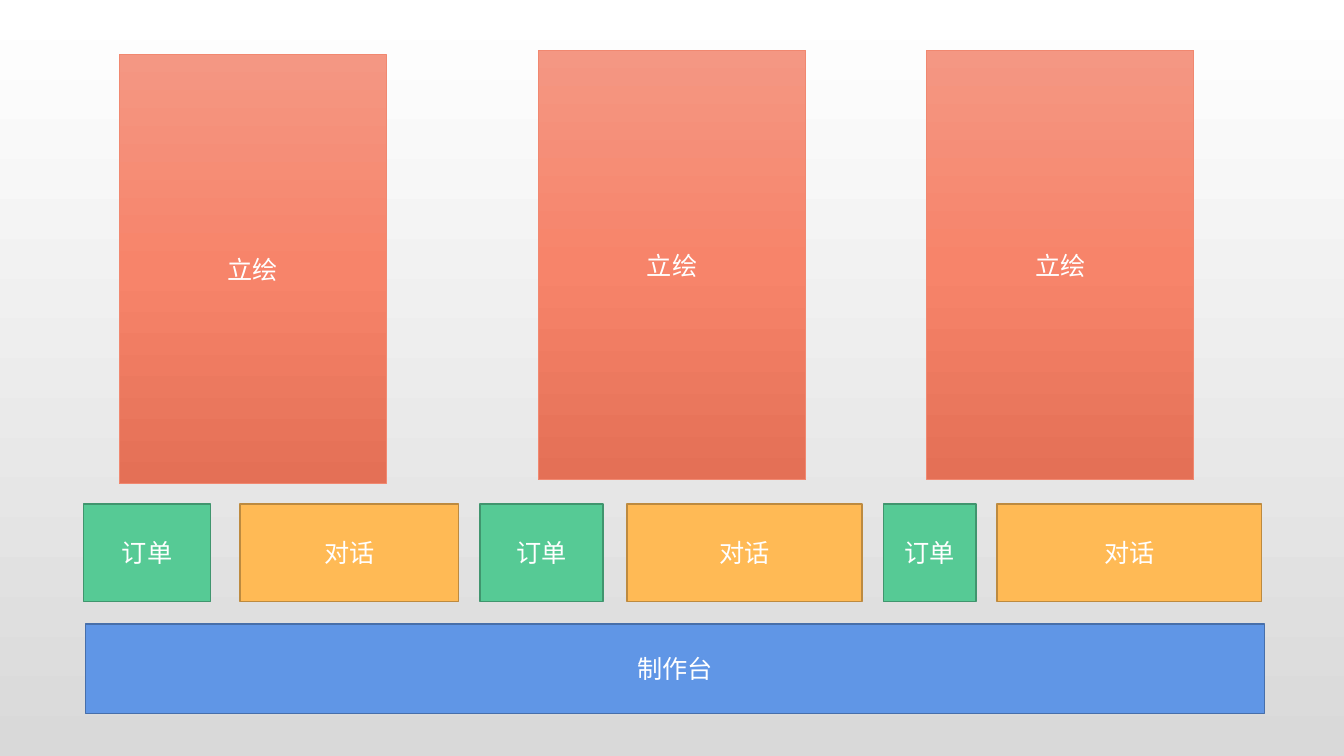
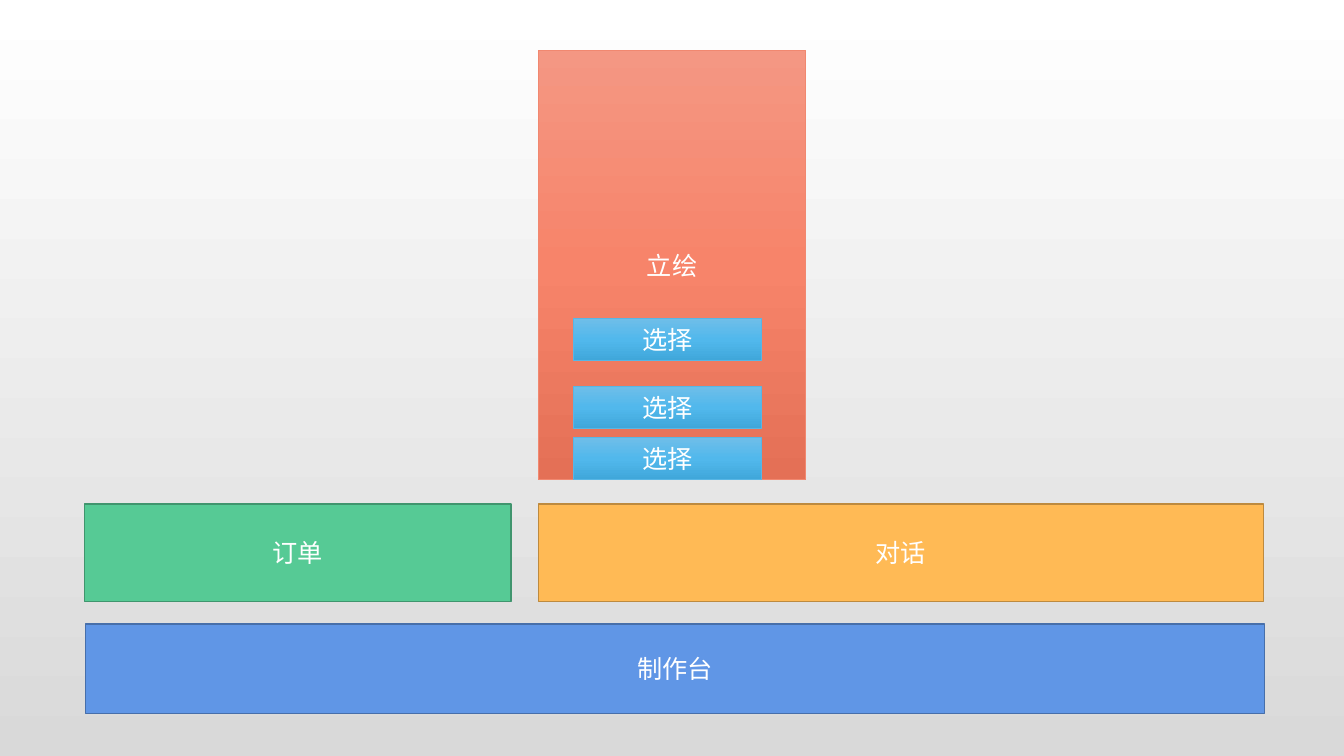
from collections import namedtuple

from lxml.etree import SubElement
from pptx import Presentation
from pptx.dml.color import RGBColor
from pptx.enum.shapes import MSO_SHAPE
from pptx.enum.text import MSO_ANCHOR, PP_ALIGN
from pptx.oxml.ns import qn
from pptx.util import Inches, Pt

FONT = "Arial"
WHITE = RGBColor(0xFF, 0xFF, 0xFF)
GREY = RGBColor(0xD9, 0xD9, 0xD9)
GREEN = RGBColor(0x56, 0xCA, 0x95)
GREEN_EDGE = RGBColor(0x40, 0x95, 0x6E)
AMBER = RGBColor(0xFF, 0xBA, 0x55)
AMBER_EDGE = RGBColor(0xBD, 0x8A, 0x3F)
BLUE = RGBColor(0x60, 0x96, 0xE6)
BLUE_EDGE = RGBColor(0x47, 0x6F, 0xAA)
CORAL_STOPS = (RGBColor(0xF4, 0x97, 0x83), RGBColor(0xF7, 0x84, 0x6A),
               RGBColor(0xE4, 0x70, 0x56))
CORAL_EDGE = RGBColor(0xF1, 0x88, 0x70)
SKY_STOPS = (RGBColor(0x6F, 0xBE, 0xE9), RGBColor(0x51, 0xB8, 0xEC),
             RGBColor(0x40, 0xA7, 0xDA))
SKY_EDGE = RGBColor(0x58, 0xB6, 0xE5)

# One colour makes a plain fill, several make a gradient from top to bottom.
Kind = namedtuple("Kind", "label colors edge edge_width")
ORDER = Kind("订单", (GREEN,), GREEN_EDGE, 1)
DIALOG = Kind("对话", (AMBER,), AMBER_EDGE, 1)
BENCH = Kind("制作台", (BLUE,), BLUE_EDGE, 1)
PORTRAIT = Kind("立绘", CORAL_STOPS, CORAL_EDGE, 0.5)
CHOICE = Kind("选择", SKY_STOPS, SKY_EDGE, 0.5)

ROW_TOP, ROW_HEIGHT = 5, 0.97


def fill_gradient(fill, element, colors):
    """Give a fill evenly spaced colour stops from top to bottom."""
    fill.gradient()
    fill.gradient_angle = 270
    stops = element.xpath(".//a:gsLst")[0]
    for stop in list(stops):
        stops.remove(stop)
    for i, color in enumerate(colors):
        pos = 100000 * i // (len(colors) - 1)
        stop = SubElement(stops, qn("a:gs"), pos=str(pos))
        SubElement(stop, qn("a:srgbClr"), val=str(color))


def add_block(slide, kind, left, top, width, height):
    """Add a labelled rectangle of the given kind."""
    sp = slide.shapes.add_shape(MSO_SHAPE.RECTANGLE, Inches(left), Inches(top),
                                Inches(width), Inches(height))
    sp.shadow.inherit = False
    if len(kind.colors) == 1:
        sp.fill.solid()
        sp.fill.fore_color.rgb = kind.colors[0]
    else:
        fill_gradient(sp.fill, sp.element, kind.colors)
    sp.line.color.rgb = kind.edge
    sp.line.width = Pt(kind.edge_width)
    tf = sp.text_frame
    tf.vertical_anchor = MSO_ANCHOR.MIDDLE
    p = tf.paragraphs[0]
    p.text = kind.label
    p.alignment = PP_ALIGN.CENTER
    p.font.name = FONT
    p.font.size = Pt(18)
    p.font.color.rgb = WHITE


def add_portrait(slide, left, top=0.5):
    """Add a character portrait area."""
    add_block(slide, PORTRAIT, left, top, 2.65, 4.26)


def add_pair(slide, order_left, order_width, dialog_left, dialog_width):
    """Add an order box and the dialog box beside it."""
    add_block(slide, ORDER, order_left, ROW_TOP, order_width, ROW_HEIGHT)
    add_block(slide, DIALOG, dialog_left, ROW_TOP, dialog_width, ROW_HEIGHT)


def add_scene(prs):
    """Add a slide with the workbench along the bottom."""
    slide = prs.slides.add_slide(prs.slide_layouts.get_by_name("Blank"))
    add_block(slide, BENCH, 0.85, 6.19, 11.69, 0.89)
    return slide


def build_three_guests(prs):
    """Lay out three portraits, each with its order and dialog."""
    slide = add_scene(prs)
    for pair in ((0.83, 1.26, 2.38, 2.17), (4.76, 1.22, 6.22, 2.33),
                 (8.76, 0.92, 9.89, 2.62)):
        add_pair(slide, *pair)
    for left, top in ((1.18, 0.54), (5.34, 0.5), (9.19, 0.5)):
        add_portrait(slide, left, top)


def build_one_guest(prs):
    """Lay out one portrait with three choices over it."""
    slide = add_scene(prs)
    add_pair(slide, 0.84, 4.23, 5.34, 7.19)
    add_portrait(slide, 5.34)
    for top in (3.16, 3.83, 4.34):
        add_block(slide, CHOICE, 5.69, top, 1.86, 0.42)


def main():
    """Build and save the presentation."""
    prs = Presentation()
    prs.slide_width, prs.slide_height = Inches(13.33), Inches(7.5)
    master = prs.slide_master
    fill_gradient(master.background.fill, master.element, (WHITE, GREY))
    build_three_guests(prs)
    build_one_guest(prs)
    prs.save("out.pptx")


main()
